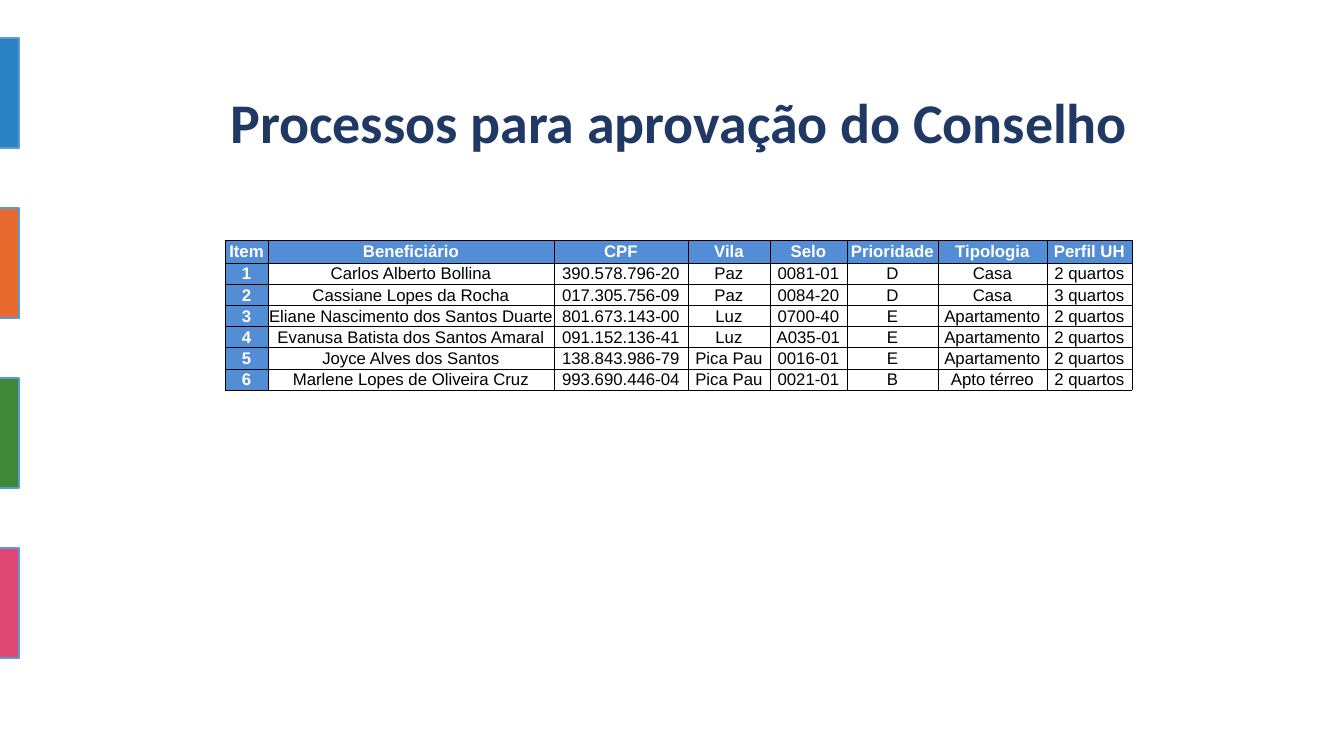
import pptx
import pptx.util
import pptx.dml.color
import pptx.enum.shapes
import pptx.enum.text
import pptx.oxml
import pptx.oxml.ns

BLUE, WHITE, BLACK = "538DD5", "FFFFFF", "000000"
TAB_COLOURS = ["2983C4", "E7692E", "3F8837", "E04875"]
COLUMN_WIDTHS = [43, 286, 134, 82, 77, 91, 109, 85]
HEADINGS = ["Item", "Beneficiário", "CPF", "Vila", "Selo", "Prioridade", "Tipologia", "Perfil UH"]
PROCESSES = [
    ["Carlos Alberto Bollina", "390.578.796-20", "Paz", "0081-01", "D", "Casa", "2 quartos"],
    ["Cassiane Lopes da Rocha", "017.305.756-09", "Paz", "0084-20", "D", "Casa", "3 quartos"],
    ["Eliane Nascimento dos Santos Duarte", "801.673.143-00", "Luz", "0700-40", "E", "Apartamento", "2 quartos"],
    ["Evanusa Batista dos Santos Amaral", "091.152.136-41", "Luz", "A035-01", "E", "Apartamento", "2 quartos"],
    ["Joyce Alves dos Santos", "138.843.986-79", "Pica Pau", "0016-01", "E", "Apartamento", "2 quartos"],
    ["Marlene Lopes de Oliveira Cruz", "993.690.446-04", "Pica Pau", "0021-01", "B", "Apto térreo", "2 quartos"],
]


def px(length):
    return pptx.util.Emu(round(length * 914400 / 100.8))


def colour(value):
    return pptx.dml.color.RGBColor.from_string(value)


class Page:
    """Draws styled elements on the current slide."""

    def __init__(self, slide):
        self.slide = slide
        self.outline = "5B9BD5"
        self.title_font, self.table_font = "Calibri", "Arial"

    def set_text(self, frame, text, font, size, ink, bold):
        paragraph = frame.paragraphs[0]
        paragraph.text = text
        paragraph.alignment = pptx.enum.text.PP_ALIGN.CENTER
        paragraph.font.name = font
        paragraph.font.size = pptx.util.Pt(size)
        paragraph.font.bold = bold
        paragraph.font.color.rgb = colour(ink)

    def side_tab(self, left, top, width, height, fill):
        tab = self.slide.shapes.add_shape(
            pptx.enum.shapes.MSO_SHAPE.RECTANGLE, px(left), px(top), px(width), px(height))
        tab.shadow.inherit = False
        tab.fill.solid()
        tab.fill.fore_color.rgb = colour(fill)
        tab.line.color.rgb = colour(self.outline)
        tab.line.width = pptx.util.Pt(2)

    def title(self, left, top, width, height, text):
        heading = self.slide.shapes.add_textbox(px(left), px(top), px(width), px(height))
        heading.text_frame.word_wrap = True
        heading.text_frame.auto_size = pptx.enum.text.MSO_AUTO_SIZE.SHAPE_TO_FIT_TEXT
        self.set_text(heading.text_frame, text, self.title_font, 40, "203864", True)

    def border(self, cell):
        properties = cell._tc.get_or_add_tcPr()
        for position, side in enumerate(["lnL", "lnR", "lnT", "lnB"]):
            properties.insert(position, pptx.oxml.parse_xml(
                f'<a:{side} {pptx.oxml.ns.nsdecls("a")} w="6350"><a:solidFill>'
                f'<a:srgbClr val="{BLACK}"/></a:solidFill></a:{side}>'))

    def table(self, left, top, widths, heights, rows):
        grid = self.slide.shapes.add_table(
            len(rows), len(widths), px(left), px(top), px(sum(widths)), px(sum(heights))).table
        for column, width in zip(grid.columns, widths):
            column.width = px(width)
        for row_number, (values, height) in enumerate(zip(rows, heights)):
            grid.rows[row_number].height = px(height)
            for column_number, value in enumerate(values):
                is_heading = row_number == 0 or column_number == 0
                cell = grid.cell(row_number, column_number)
                cell.margin_left = cell.margin_right = cell.margin_top = px(1)
                cell.margin_bottom = 0
                cell.vertical_anchor = pptx.enum.text.MSO_ANCHOR.MIDDLE
                cell.fill.solid()
                cell.fill.fore_color.rgb = colour(BLUE if is_heading else WHITE)
                self.set_text(cell.text_frame, value, self.table_font, 12,
                              WHITE if is_heading else BLACK, is_heading)
                self.border(cell)


def main():
    deck = pptx.Presentation()
    deck.slide_width, deck.slide_height = px(1344), px(756)
    page = Page(deck.slides.add_slide(deck.slide_layouts[6]))
    for number, fill in enumerate(TAB_COLOURS):
        page.side_tab(-1, 38 + 170 * number, 20, 110, fill)
    page.title(183, 83, 992, 109, "Processos para aprovação do Conselho")
    rows = [HEADINGS] + [[str(item), *process] for item, process in enumerate(PROCESSES, 1)]
    page.table(225, 240, COLUMN_WIDTHS, [23] + [21] * len(PROCESSES), rows)
    deck.save("out.pptx")


if __name__ == "__main__":
    main()
